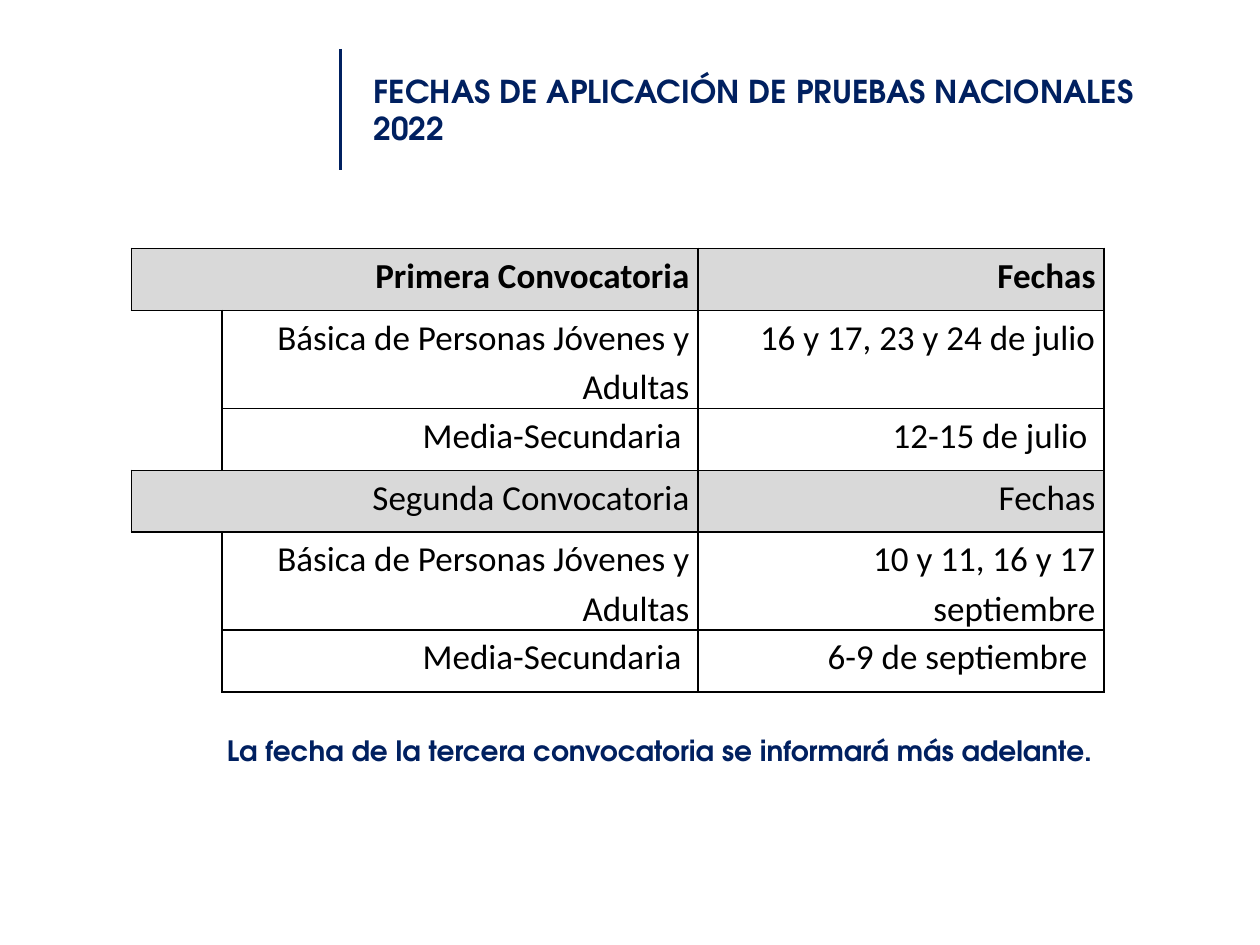
from dataclasses import dataclass

from lxml.etree import SubElement
from pptx import Presentation
from pptx.dml.color import RGBColor
from pptx.enum.shapes import MSO_CONNECTOR
from pptx.enum.text import MSO_ANCHOR, PP_ALIGN
from pptx.oxml.ns import qn
from pptx.util import Pt


@dataclass(frozen=True)
class Theme:
    navy: str = "002060"
    black: str = "000000"
    band: str = "D9D9D9"
    display_font: str = "TeX Gyre Adventor"
    table_font: str = "Calibri"
    title_size: int = 18
    note_size: int = 16
    table_size: int = 20


COLUMN_WIDTHS = [52, 272, 232]
ROW_HEIGHT, TALL_ROW_HEIGHT = 35.4, 56
CELL_INSET, EXTRA_INSET = 5, 4.5

BASIC = "Básica de Personas Jóvenes y Adultas"
SECONDARY = "Media-Secundaria"
CALLS = [
    ("Primera Convocatoria", True, "16 y 17, 23 y 24 de julio", "12-15 de julio"),
    ("Segunda Convocatoria", False, "10 y 11, 16 y 17 septiembre", "6-9 de septiembre"),
]


def assign(target, values):
    for name, value in values.items():
        setattr(target, name, value)


class SlideBuilder:
    def __init__(self, slide, theme):
        self.slide = slide
        self.theme = theme

    def styled_run(self, paragraph, text, font, size, color, bold):
        run = paragraph.add_run()
        run.text = text
        assign(run.font, {"name": font, "size": Pt(size), "bold": bold})
        run.font.color.rgb = RGBColor.from_string(color)

    def rule(self, x, top, bottom):
        line = self.slide.shapes.add_connector(
            MSO_CONNECTOR.STRAIGHT, Pt(x), Pt(top), Pt(x), Pt(bottom))
        line.line.width = Pt(2)
        line.line.color.rgb = RGBColor.from_string(self.theme.navy)
        SubElement(line._element.spPr, qn("a:effectLst"))

    def heading(self, text, size, left, top, width, height):
        frame = self.slide.shapes.add_textbox(
            Pt(left), Pt(top), Pt(width), Pt(height)).text_frame
        assign(frame, {"word_wrap": True, "vertical_anchor": MSO_ANCHOR.MIDDLE,
                       "margin_left": Pt(3.6), "margin_right": Pt(3.6),
                       "margin_top": Pt(3.6), "margin_bottom": Pt(3.6)})
        self.styled_run(frame.paragraphs[0], text, self.theme.display_font, size,
                        self.theme.navy, True)

    def borders(self, cell, visible):
        """Draw the named sides (L, R, T, B) and hide the others."""
        properties = cell._tc.get_or_add_tcPr()
        for position, side in enumerate("LRTB"):
            edge = properties.makeelement(qn(f"a:ln{side}"), {"w": str(Pt(1))})
            properties.insert(position, edge)
            if side in visible:
                fill = SubElement(edge, qn("a:solidFill"))
                SubElement(fill, qn("a:srgbClr"), val=self.theme.black)
            else:
                SubElement(edge, qn("a:noFill"))

    def cell_text(self, cell, text, bold=False, extra_inset=0):
        assign(cell, {"margin_left": Pt(CELL_INSET), "margin_top": 0, "margin_bottom": 0,
                      "margin_right": Pt(CELL_INSET + extra_inset)})
        paragraph = cell.text_frame.paragraphs[0]
        assign(paragraph, {"alignment": PP_ALIGN.RIGHT, "line_spacing": 1.15,
                           "space_after": Pt(10)})
        self.styled_run(paragraph, text, self.theme.table_font, self.theme.table_size,
                        self.theme.black, bold)

    def schedule(self, calls, left, top):
        heights = [ROW_HEIGHT, TALL_ROW_HEIGHT, ROW_HEIGHT] * len(calls)
        table = self.slide.shapes.add_table(
            len(heights), len(COLUMN_WIDTHS), Pt(left), Pt(top),
            Pt(sum(COLUMN_WIDTHS)), Pt(sum(heights))).table
        assign(table, {"first_row": False, "horz_banding": False})
        for column, width in zip(table.columns, COLUMN_WIDTHS):
            column.width = Pt(width)
        for row, height in zip(table.rows, heights):
            row.height = Pt(height)

        for index, (call, bold, basic_dates, secondary_dates) in enumerate(calls):
            header = 3 * index
            table.cell(header, 0).merge(table.cell(header, 1))
            self.cell_text(table.cell(header, 0), call, bold)
            self.cell_text(table.cell(header, 2), "Fechas", bold)
            exams = [(BASIC, basic_dates, 0), (SECONDARY, secondary_dates, EXTRA_INSET)]
            for row, (level, dates, extra) in enumerate(exams, header + 1):
                self.cell_text(table.cell(row, 1), level, extra_inset=extra)
                self.cell_text(table.cell(row, 2), dates, extra_inset=extra)

        last_row = len(heights) - 1
        for row in range(len(heights)):
            is_header = row % 3 == 0
            for column in range(len(COLUMN_WIDTHS)):
                cell = table.cell(row, column)
                if is_header:
                    cell.fill.solid()
                    cell.fill.fore_color.rgb = RGBColor.from_string(self.theme.band)
                else:
                    cell.fill.background()
                sides = "LRTB"
                if column == 0 and not is_header:
                    above = "T" if row % 3 == 1 else ""
                    below = "B" if row % 3 == 2 and row < last_row else ""
                    sides = "R" + above + below
                self.borders(cell, sides)


def main():
    presentation = Presentation()
    assign(presentation, {"slide_width": Pt(720), "slide_height": Pt(540)})
    theme = Theme()
    builder = SlideBuilder(
        presentation.slides.add_slide(presentation.slide_layouts[6]), theme)
    builder.rule(194.5, 28, 97)
    builder.heading("FECHAS DE APLICACIÓN DE PRUEBAS NACIONALES 2022",
                    theme.title_size, 210, 28, 474, 69)
    builder.schedule(CALLS, 75, 142)
    builder.heading("La fecha de la tercera convocatoria se informará más adelante.",
                    theme.note_size, 126, 394.5, 517, 69)
    presentation.save("out.pptx")


if __name__ == "__main__":
    main()
